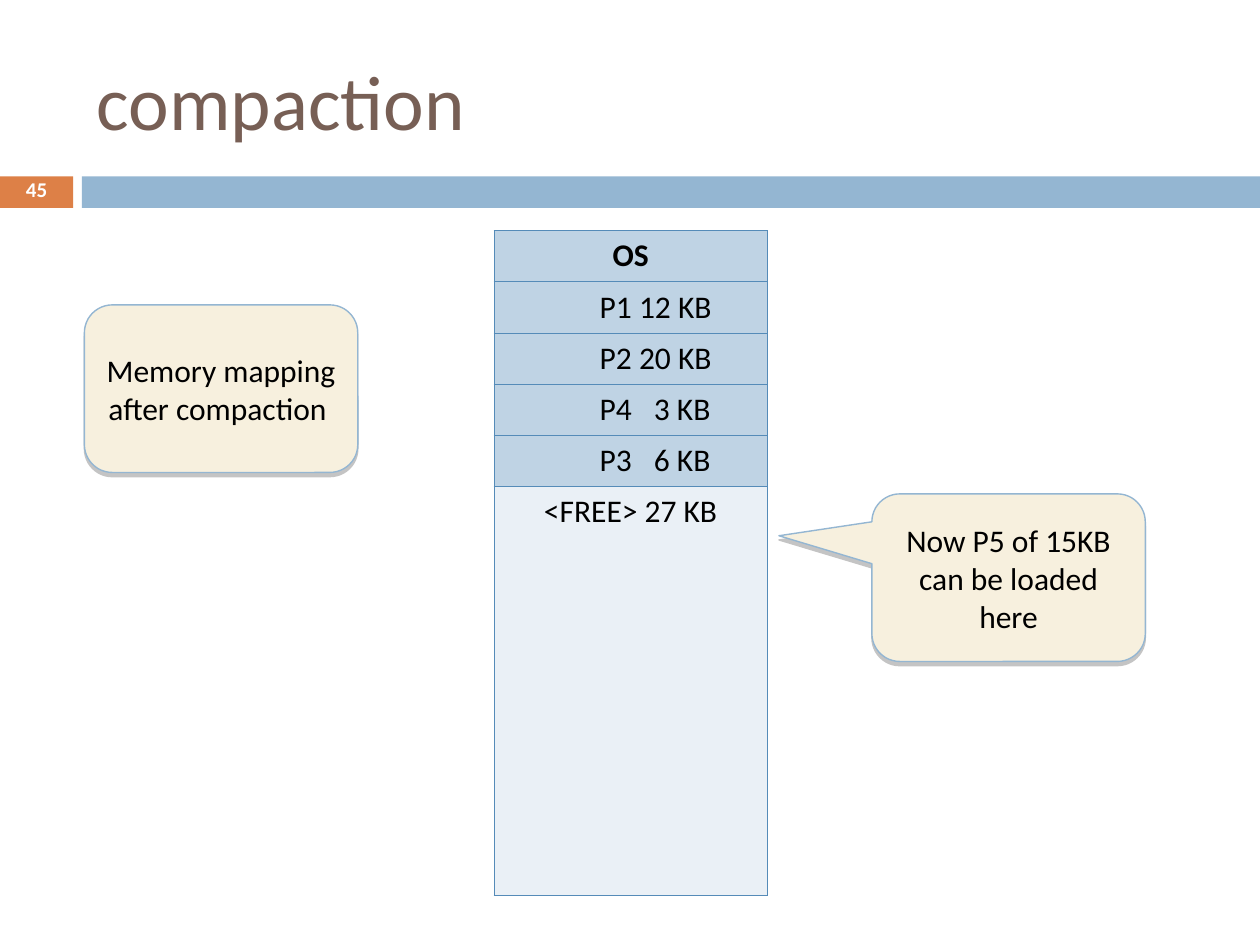
from lxml import etree
from pptx import Presentation
from pptx.dml.color import RGBColor
from pptx.enum.shapes import MSO_SHAPE
from pptx.enum.text import MSO_ANCHOR, PP_ALIGN
from pptx.oxml.ns import qn
from pptx.util import Inches, Pt

RECT, CALLOUT = MSO_SHAPE.RECTANGLE, MSO_SHAPE.ROUNDED_RECTANGULAR_CALLOUT
MIDDLE = MSO_ANCHOR.MIDDLE
LEFT, CENTER = PP_ALIGN.LEFT, PP_ALIGN.CENTER
FONT = "Calibri"
COLORS = {
    "title": "775F55", "accent": "DD8047", "band": "94B6D2",
    "used": "BFD3E4", "free": "EAF0F6", "border": "558BB8",
    "callout": "F7F0DE", "shadow": "808080", "black": "000000", "white": "FFFFFF",
}
USED = ["OS", "P1 12 KB", "P2 20 KB", "P4\t3 KB", "P3\t6 KB"]
FREE = "<FREE> 27 KB"
FREE_ROWS = 8


def rgb(name):
    return RGBColor.from_string(COLORS[name])


def style(p, size, color="black", bold=False, align=LEFT):
    p.alignment = align
    for r in p.runs:
        r.font.name, r.font.size, r.font.bold = FONT, Pt(size), bold
        r.font.color.rgb = rgb(color)


def add_text(s, box, text, size, color, **kwargs):
    tf = s.shapes.add_textbox(*map(Inches, box)).text_frame
    tf.word_wrap = True
    tf.vertical_anchor = MIDDLE
    tf.text = text
    style(tf.paragraphs[0], size, color, **kwargs)
    return tf.paragraphs[0]


def add_bar(s, box, color):
    bar = s.shapes.add_shape(RECT, *map(Inches, box))
    bar.shadow.inherit = False
    bar.fill.solid()
    bar.fill.fore_color.rgb = rgb(color)
    bar.line.fill.background()


def add_header(s, left, top, width, height, title, number):
    """Title above a band, with the slide number at the band's left end."""
    bar_h, number_w, band_x = 0.25, 0.58, 0.65
    bar_y = top + height - bar_h
    add_bar(s, (left, bar_y, number_w, bar_h), "accent")
    add_bar(s, (left + band_x, bar_y, width - band_x, bar_h), "band")
    add_text(s, (left + 0.67, top, 8.92, 1.08), title, 44, "title")
    p = add_text(s, (left, bar_y - 0.01, number_w, 0.27), number, 12, "white",
                 bold=True, align=CENTER)
    p.line_spacing = 0.7


def set_borders(cell, sides):
    """Draw the given sides (letters of LRTB) and clear the others."""
    tc_pr = cell._tc.get_or_add_tcPr()
    for side in "LRTB":
        ln = etree.SubElement(tc_pr, qn("a:ln" + side), w=str(Pt(0.45)))
        if side in sides:
            fill = etree.SubElement(ln, qn("a:solidFill"))
            etree.SubElement(fill, qn("a:srgbClr"), val=COLORS["border"])
        else:
            etree.SubElement(ln, qn("a:noFill"))


def add_tab(p, position):
    tabs = etree.SubElement(p._p.get_or_add_pPr(), qn("a:tabLst"))
    etree.SubElement(tabs, qn("a:tab"), pos=str(Inches(position)), algn="l")


def add_memory_map(s, left, top, width, height):
    labels = USED + [FREE] + [""] * (FREE_ROWS - 1)
    frame = s.shapes.add_table(len(labels), 1, *map(Inches, (left, top, width, height)))
    table = frame.table
    table.first_row = table.horz_banding = False
    for i, label in enumerate(labels):
        cell, used = table.cell(i, 0), i < len(USED)
        sides = "LR"
        if i <= len(USED):
            sides += "T"
        if used or i == len(labels) - 1:
            sides += "B"
        set_borders(cell, sides)
        cell.fill.solid()
        cell.fill.fore_color.rgb = rgb("used" if used else "free")
        cell.text = label
        p = cell.text_frame.paragraphs[0]
        process = label.startswith("P")
        if process:
            cell.margin_left = Inches(0.84)
            if "\t" in label:
                add_tab(p, 0.43)
        style(p, 18, bold=label == "OS", align=LEFT if process else CENTER)


def add_callout(s, left, top, width, height, text, tip):
    """Callout whose tip is given as a share of its size from its centre."""
    sp = s.shapes.add_shape(CALLOUT, *map(Inches, (left, top, width, height)))
    sp.adjustments[0], sp.adjustments[1] = tip
    sp.fill.solid()
    sp.fill.fore_color.rgb = rgb("callout")
    sp.line.color.rgb = rgb("band")
    sp.line.width = Pt(0.79)
    sp.shadow.inherit = False
    effects = sp._element.spPr.find(qn("a:effectLst"))
    shadow = etree.SubElement(effects, qn("a:outerShdw"), blurRad="0",
                              dist=str(Pt(2.4)), dir="5400000")
    color = etree.SubElement(shadow, qn("a:srgbClr"), val=COLORS["shadow"])
    etree.SubElement(color, qn("a:alpha"), val="45000")
    tf = sp.text_frame
    tf.word_wrap = True
    tf.vertical_anchor = MIDDLE
    tf.text = text
    style(tf.paragraphs[0], 18, align=CENTER)


def main():
    prs = Presentation()
    prs.slide_width, prs.slide_height = Inches(10), Inches(7.5)
    s = prs.slides.add_slide(prs.slide_layouts[6])
    add_header(s, 0, 0.25, 10, 1.4, "compaction", "45")
    add_memory_map(s, 3.92, 1.83, 2.17, 5.28)
    add_callout(s, 0.67, 2.42, 2.17, 1.33, "Memory mapping after compaction ", (0.24, 0.5))
    add_callout(s, 6.92, 3.92, 2.17, 1.33, "Now P5 of 15KB can be loaded here", (-0.84, -0.25))
    prs.save("out.pptx")


if __name__ == "__main__":
    main()
